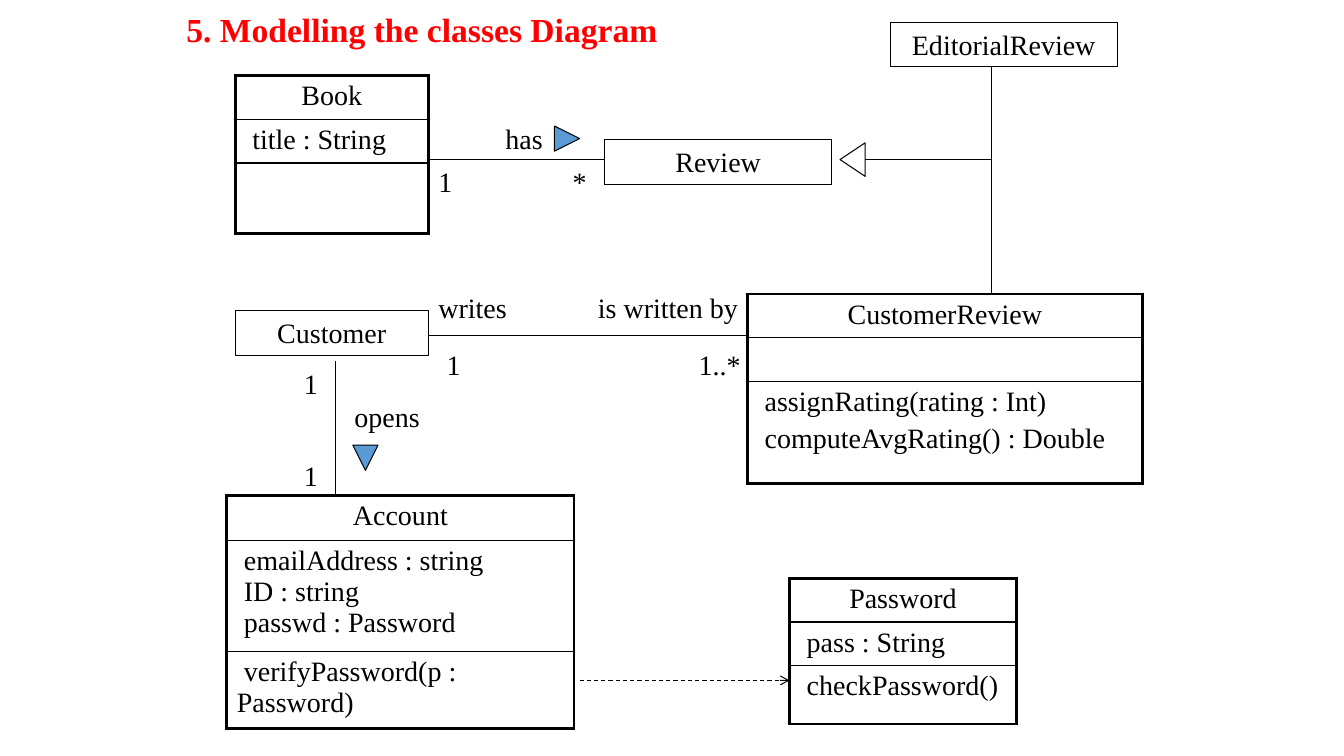
import pptx
import pptx.util
import pptx.dml.color
import pptx.enum.dml
import pptx.enum.shapes
import pptx.enum.text
import pptx.oxml.ns
from lxml import etree

Pt = pptx.util.Pt
qn = pptx.oxml.ns.qn
SHAPE = pptx.enum.shapes.MSO_SHAPE
ALIGN = pptx.enum.text.PP_ALIGN
BLACK, RED, BLUE = "000000", "FF0000", "5B9BD5"
ROW = 31.2     # height of a one-line compartment
BOX_H = 31.7   # height of a class drawn as a plain box
LABEL_H = 31


def rgb(value):
    return pptx.dml.color.RGBColor.from_string(value)


def write(p, text, size=20, color=BLACK, bold=False):
    r = p.add_run()
    r.text = text
    r.font.name = "Times New Roman"
    r.font.size = Pt(size)
    r.font.bold = bold
    r.font.color.rgb = rgb(color)


def label(s, x, y, w, text):
    sp = s.shapes.add_textbox(Pt(x), Pt(y), Pt(w), Pt(LABEL_H))
    sp.text_frame.word_wrap = True
    write(sp.text_frame.paragraphs[0], text)


def outlined(s, kind, x, y, w, h, fill=None):
    sp = s.shapes.add_shape(kind, Pt(x), Pt(y), Pt(w), Pt(h))
    sp.shadow.inherit = False
    if fill:
        sp.fill.solid()
        sp.fill.fore_color.rgb = rgb(fill)
    else:
        sp.fill.background()
    sp.line.color.rgb = rgb(BLACK)
    sp.line.width = Pt(0.75)
    return sp


def triangle(s, x, y, w, h, rotation, fill=None):
    outlined(s, SHAPE.ISOSCELES_TRIANGLE, x, y, w, h, fill).rotation = rotation


def class_box(s, x, y, w, name):
    sp = outlined(s, SHAPE.RECTANGLE, x, y, w, BOX_H)
    tf = sp.text_frame
    tf.word_wrap = True
    tf.vertical_anchor = pptx.enum.text.MSO_ANCHOR.TOP
    p = tf.paragraphs[0]
    p.alignment = ALIGN.CENTER
    write(p, name)


def line(s, x1, y1, x2, y2, dependency=False):
    sp = s.shapes.add_connector(pptx.enum.shapes.MSO_CONNECTOR.STRAIGHT,
                                Pt(x1), Pt(y1), Pt(x2), Pt(y2))
    sp.line.color.rgb = rgb(BLACK)
    sp.line.width = Pt(0.75)
    if dependency:
        sp.line.dash_style = pptx.enum.dml.MSO_LINE.DASH
        ln = sp.line._get_or_add_ln()
        etree.SubElement(ln, qn("a:tailEnd"), type="arrow")
    etree.SubElement(sp._element.spPr, qn("a:effectLst"))


def cell_borders(cell, **widths):
    tc_pr = cell._tc.get_or_add_tcPr()
    for side in "LRTB":
        ln = etree.SubElement(tc_pr, qn("a:ln" + side), w=str(Pt(widths[side])))
        fill = etree.SubElement(ln, qn("a:solidFill"))
        etree.SubElement(fill, qn("a:srgbClr"), val=BLACK)


def class_table(s, x, y, w, heights, name, attributes, operations, gap=0):
    """A class with compartments for its name, attributes and operations."""
    frame = s.shapes.add_table(3, 1, Pt(x), Pt(y), Pt(w), Pt(sum(heights)))
    table = frame.table
    table.first_row = table.horz_banding = False
    table.columns[0].width = Pt(w)
    for i, (height, lines) in enumerate(zip(heights, ([name], attributes, operations))):
        table.rows[i].height = Pt(height)
        cell = table.cell(i, 0)
        cell_borders(cell, L=2.25, R=2.25, T=2.25 if i == 0 else 1,
                     B=2.25 if i == 2 else 1)
        cell.fill.background()
        tf = cell.text_frame
        for j, text in enumerate(lines):
            p = tf.paragraphs[0] if j == 0 else tf.add_paragraph()
            if i == 0:
                p.alignment = ALIGN.CENTER
            else:
                p._p.get_or_add_pPr().set("indent", str(Pt(5)))
            if j:
                p.space_before = Pt(gap)
            write(p, text)


def title(s, x, y, w, h):
    sp = s.shapes.add_textbox(Pt(x), Pt(y), Pt(w), Pt(h))
    tf = sp.text_frame
    tf.word_wrap = True
    p = tf.paragraphs[0]
    p.line_spacing = 0.9
    write(p, "5. Modelling the classes Diagram", 24, RED, True)


# Book has Review
def book_region(s, x, y):
    class_table(s, x, y, 138, [ROW, ROW, 50.4], "Book", ["title : String"], [])
    line(s, x + 138, y + 60, x + 264, y + 60)
    class_box(s, x + 264, y + 46, 162, "Review")
    label(s, x + 186, y + 29, 66, "has")
    triangle(s, x + 228, y + 36, 18, 18, 90, BLUE)
    label(s, x + 138, y + 60, 24, "1")
    label(s, x + 234, y + 60, 24, "*")


# Kinds of review, joined to the general class by a hollow triangle
def review_region(s, x, y):
    class_box(s, x + 102, y, 162, "EditorialReview")
    class_table(s, x, y + 194, 282, [ROW, ROW, 73.2], "CustomerReview", [],
                ["assignRating(rating : Int)", "computeAvgRating() : Double"], gap=4)
    line(s, x + 174, y + 32, x + 174, y + 194)
    line(s, x + 84, y + 98, x + 174, y + 98)
    triangle(s, x + 63, y + 89, 24, 18, 270)


# Customer writes CustomerReview
def customer_region(s, x, y):
    class_box(s, x, y + 18, 138, "Customer")
    line(s, x + 138, y + 36, x + 366, y + 36)
    label(s, x + 138, y, 108, "writes")
    label(s, x + 252, y, 120, "is written by")
    label(s, x + 144, y + 41, 24, "1")
    label(s, x + 324, y + 41, 48, "1..*")


# Customer opens Account, which depends on Password
def account_region(s, x, y):
    line(s, x + 78, y + 96, x + 78, y)
    label(s, x + 48, y, 24, "1")
    label(s, x + 84, y + 24, 84, "opens")
    triangle(s, x + 90, y + 60, 18, 18, 180, BLUE)
    label(s, x + 48, y + 66, 24, "1")
    class_table(s, x, y + 96, 248, [32, 79.2, 52], "Account",
                ["emailAddress : string", "ID : string", "passwd : Password"],
                ["verifyPassword(p : Password)"])
    class_table(s, x + 402, y + 155, 162, [ROW, ROW, 41.6], "Password",
                ["pass : String"], ["checkPassword()"])
    line(s, x + 252, y + 228, x + 402, y + 228, dependency=True)


def main():
    prs = pptx.Presentation()
    prs.slide_width, prs.slide_height = Pt(960), Pt(540)
    s = prs.slides.add_slide(prs.slide_layouts[6])
    title(s, 126, 6, 468, 48)
    book_region(s, 168, 54)
    review_region(s, 534, 16)
    customer_region(s, 168, 204)
    account_region(s, 162, 258)
    prs.save("out.pptx")


if __name__ == "__main__":
    main()
